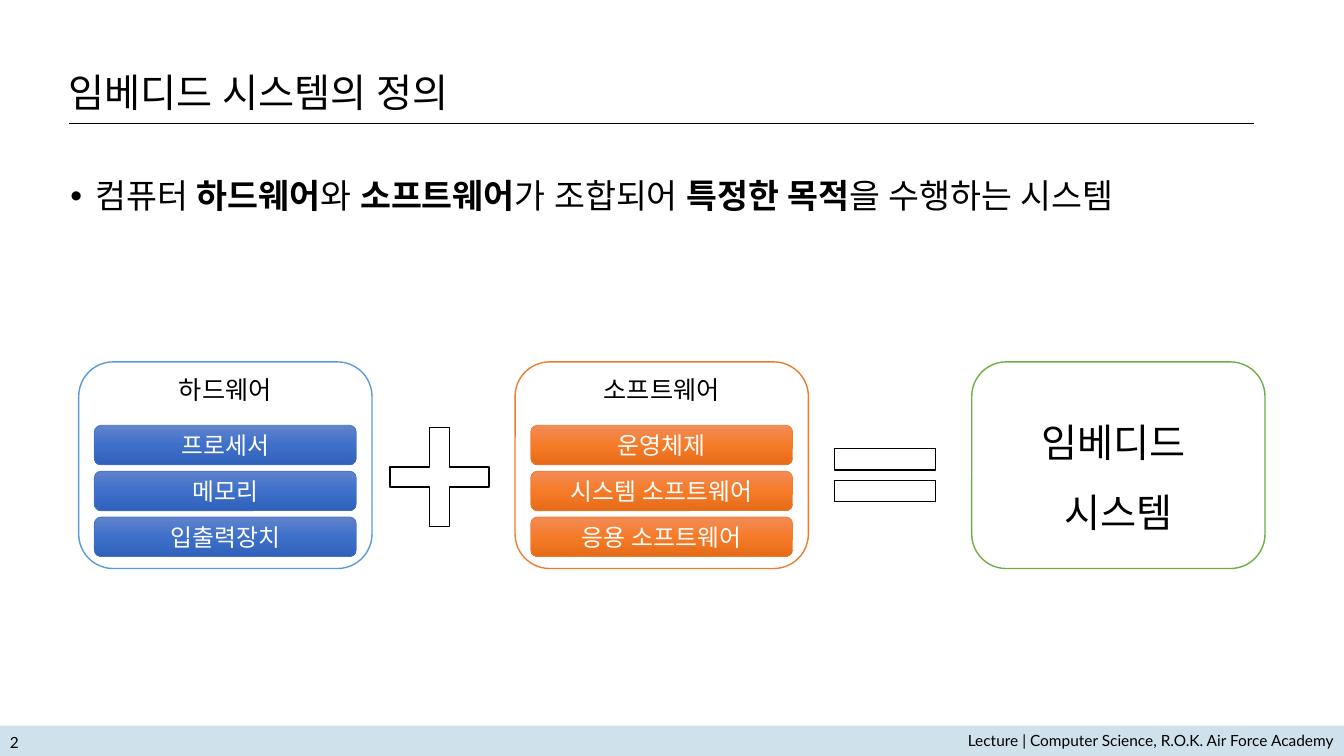
from copy import deepcopy

from lxml import etree
from pptx import Presentation
from pptx.dml.color import RGBColor
from pptx.enum.shapes import MSO_CONNECTOR, MSO_SHAPE
from pptx.enum.text import MSO_ANCHOR, PP_ALIGN
from pptx.oxml.ns import qn
from pptx.util import Pt

STRAIGHT = MSO_CONNECTOR.STRAIGHT
RECTANGLE, ROUNDED = MSO_SHAPE.RECTANGLE, MSO_SHAPE.ROUNDED_RECTANGLE
PLUS, EQUAL = MSO_SHAPE.MATH_PLUS, MSO_SHAPE.MATH_EQUAL
LEFT, CENTER, RIGHT = PP_ALIGN.LEFT, PP_ALIGN.CENTER, PP_ALIGN.RIGHT
TOP, MIDDLE = MSO_ANCHOR.TOP, MSO_ANCHOR.MIDDLE
LATO, NOTO = "Lato", "Noto Sans CJK KR"
BLACK, WHITE = "000000", "FFFFFF"
rgb = RGBColor.from_string


def write(shape, runs, size, font=LATO, color=BLACK, align=LEFT, spacing=1, **frame_format):
    """Fill the first paragraph with (text, bold) runs and return it."""
    frame = shape.text_frame
    frame.word_wrap = True
    for name, value in frame_format.items():
        setattr(frame, name, value)
    paragraph = frame.paragraphs[0]
    paragraph.alignment = align
    paragraph.line_spacing = spacing
    for index, line in enumerate(runs):
        text, bold = line
        if text.startswith("\n"):
            paragraph.add_line_break()
        run = paragraph.add_run()
        run.text = text.strip("\n")
        for name, value in {"name": font, "size": Pt(size), "bold": bold}.items():
            setattr(run.font, name, value)
        run.font.color.rgb = rgb(color)
        east_asian = etree.SubElement(run._r.get_or_add_rPr(), qn("a:ea"))
        east_asian.set("typeface", LATO)
    return paragraph


def add_outlined(kind, box, fill, line, width, adjustments=()):
    """Add a shape; several fill colours make a top-to-bottom gradient."""
    shape = slide.shapes.add_shape(kind, *map(Pt, box))
    shape.shadow.inherit = False
    for index, value in enumerate(adjustments):
        shape.adjustments[index] = value
    if isinstance(fill, str):
        shape.fill.solid()
        shape.fill.fore_color.rgb = rgb(fill)
    else:
        shape.fill.gradient()
        shape.fill.gradient_angle = 270
        stops = shape._element.spPr.find(qn("a:gradFill")).find(qn("a:gsLst"))
        stops.insert(1, deepcopy(stops[0]))
        for stop, position, color in zip(shape.fill.gradient_stops, (0, 0.5, 1), fill):
            stop.position = position
            stop.color.rgb = rgb(color)
    if line:
        shape.line.color.rgb = rgb(line)
        shape.line.width = Pt(width)
    else:
        shape.line.fill.background()
    return shape


presentation = Presentation()
presentation.slide_width, presentation.slide_height = Pt(960), Pt(540)
slide = presentation.slides.add_slide(presentation.slide_layouts[6])

# Footer
add_outlined(RECTANGLE, (0, 518.4, 960, 21.6), "CFE2EB", None, 0)
credit = slide.shapes.add_textbox(Pt(54.5), Pt(518.4), Pt(905.5), Pt(20.2))
write(credit, [("Lecture | Computer Science, R.O.K. Air Force Academy", False)], 11, align=RIGHT)
page_number = slide.shapes.add_textbox(Pt(0), Pt(521.5), Pt(54.5), Pt(17))
write(page_number, [("2", False)], 11, vertical_anchor=MIDDLE)

# Title with its double rule
for start, end, y in ((52.5, 895.6, 87.8), (49.4, 895.2, 88.4)):
    rule = slide.shapes.add_connector(STRAIGHT, Pt(start), Pt(y), Pt(end), Pt(y))
    rule.line.color.rgb = rgb(BLACK)
    rule.line.width = Pt(0.5)
    etree.SubElement(rule._element.spPr, qn("a:effectLst"))
title = slide.shapes.add_textbox(Pt(49), Pt(52.6), Pt(844.5), Pt(30.2))
write(title, [("임베디드 시스템의 정의", False)], 28, spacing=0.9, vertical_anchor=MIDDLE,
      margin_left=0, margin_right=0, margin_top=0, margin_bottom=0)

# Definition
definition = slide.shapes.add_textbox(Pt(43.2), Pt(114.5), Pt(851), Pt(371.5))
definition_runs = [
    ("컴퓨터 ", False), ("하드웨어", True), ("와 ", False), ("소프트웨어", True),
    ("가 조합되어 ", False), ("특정한 목적", True), ("을 수행하는 시스템", False),
]
properties = write(definition, definition_runs, 24, spacing=1.25)._p.get_or_add_pPr()
properties.set("marL", str(Pt(18)))
properties.set("indent", str(-Pt(18)))
etree.SubElement(properties, qn("a:buFont")).set("typeface", "Arial")
etree.SubElement(properties, qn("a:buChar")).set("char", "•")

# Hardware + software = embedded system
CARD_TOP, CARD_WIDTH, CARD_HEIGHT = 258.5, 209.5, 147.6
PART_TOP, PART_PITCH, PART_INSET, PART_HEIGHT = 303.8, 32.75, 11.2, 28.2
ROUNDING = [0.167]
components = [
    (56.2, "하드웨어", LATO, "5B9BD5", "4472C4", ("6183CB", "3E70CA", "3062BB"),
     ("프로세서", "메모리", "입출력장치")),
    (367.9, "소프트웨어", NOTO, "ED7D31", "ED7D31", ("F18C57", "F67B28", "E56C19"),
     ("운영체제", "시스템 소프트웨어", "응용 소프트웨어")),
]
for left, heading, font, card_line, part_line, gradient, parts in components:
    card = add_outlined(ROUNDED, (left, CARD_TOP, CARD_WIDTH, CARD_HEIGHT),
                        WHITE, card_line, 1, ROUNDING)
    write(card, [(heading, False)], 18, font, align=CENTER,
          vertical_anchor=TOP, margin_top=Pt(2))
    for row, name in enumerate(parts):
        box = (left + PART_INSET, PART_TOP + row * PART_PITCH,
               CARD_WIDTH - 2 * PART_INSET, PART_HEIGHT)
        part = add_outlined(ROUNDED, box, gradient, part_line, 0.5, ROUNDING)
        write(part, [(name, False)], 17, font, WHITE, CENTER, vertical_anchor=MIDDLE)

add_outlined(PLUS, (265.7, 292.5, 96.5, 96.5), WHITE, BLACK, 1, [0.147])
add_outlined(EQUAL, (583.2, 307.4, 97.9, 64.1), WHITE, BLACK, 1, [0.235, 0.118])

result = add_outlined(ROUNDED, (694.1, CARD_TOP, CARD_WIDTH, CARD_HEIGHT),
                      WHITE, "70AD47", 1, ROUNDING)
write(result, [("임베디드 ", False), ("\n시스템", False)], 28, NOTO, align=CENTER,
      spacing=1.5, vertical_anchor=MIDDLE)

presentation.save("out.pptx")
